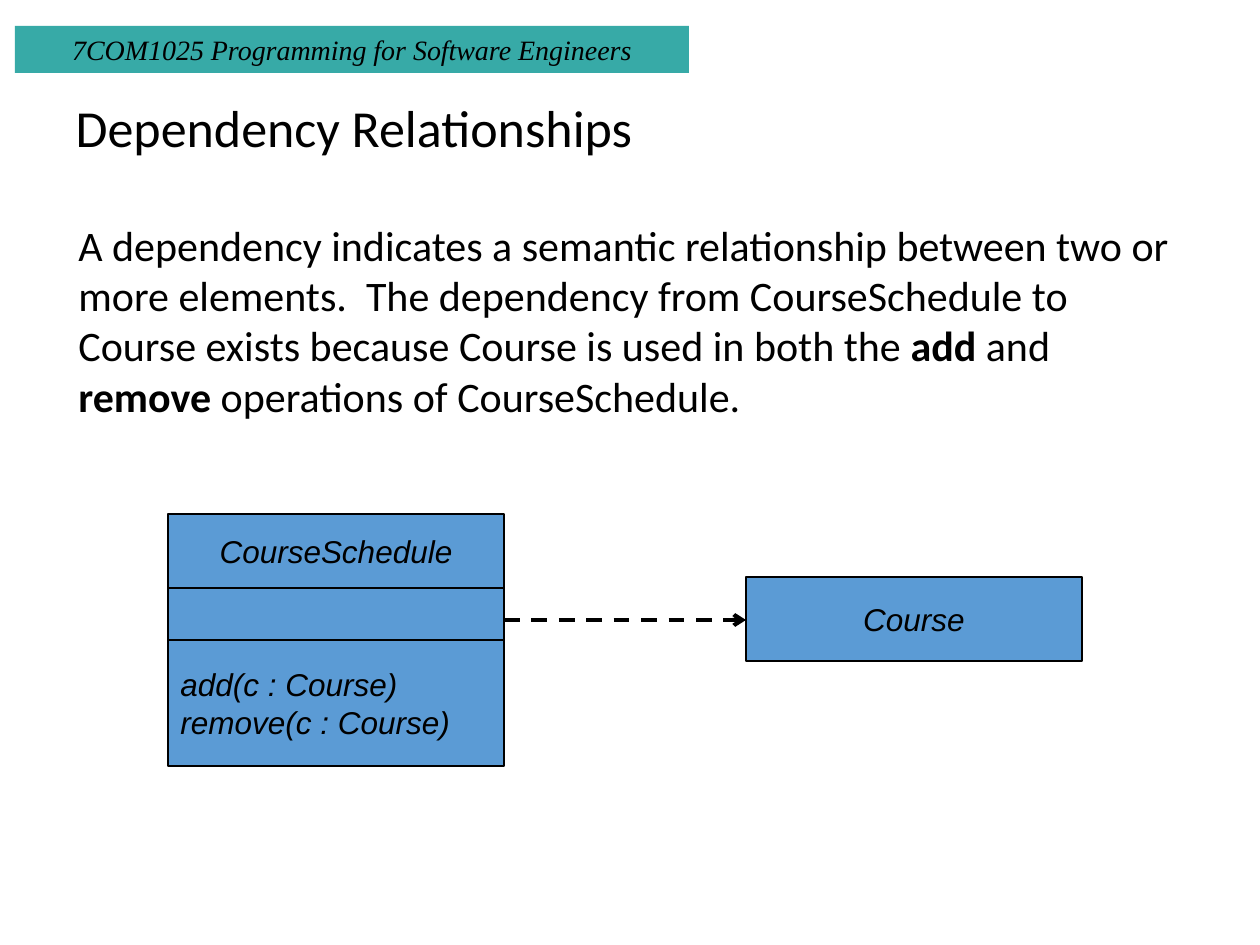
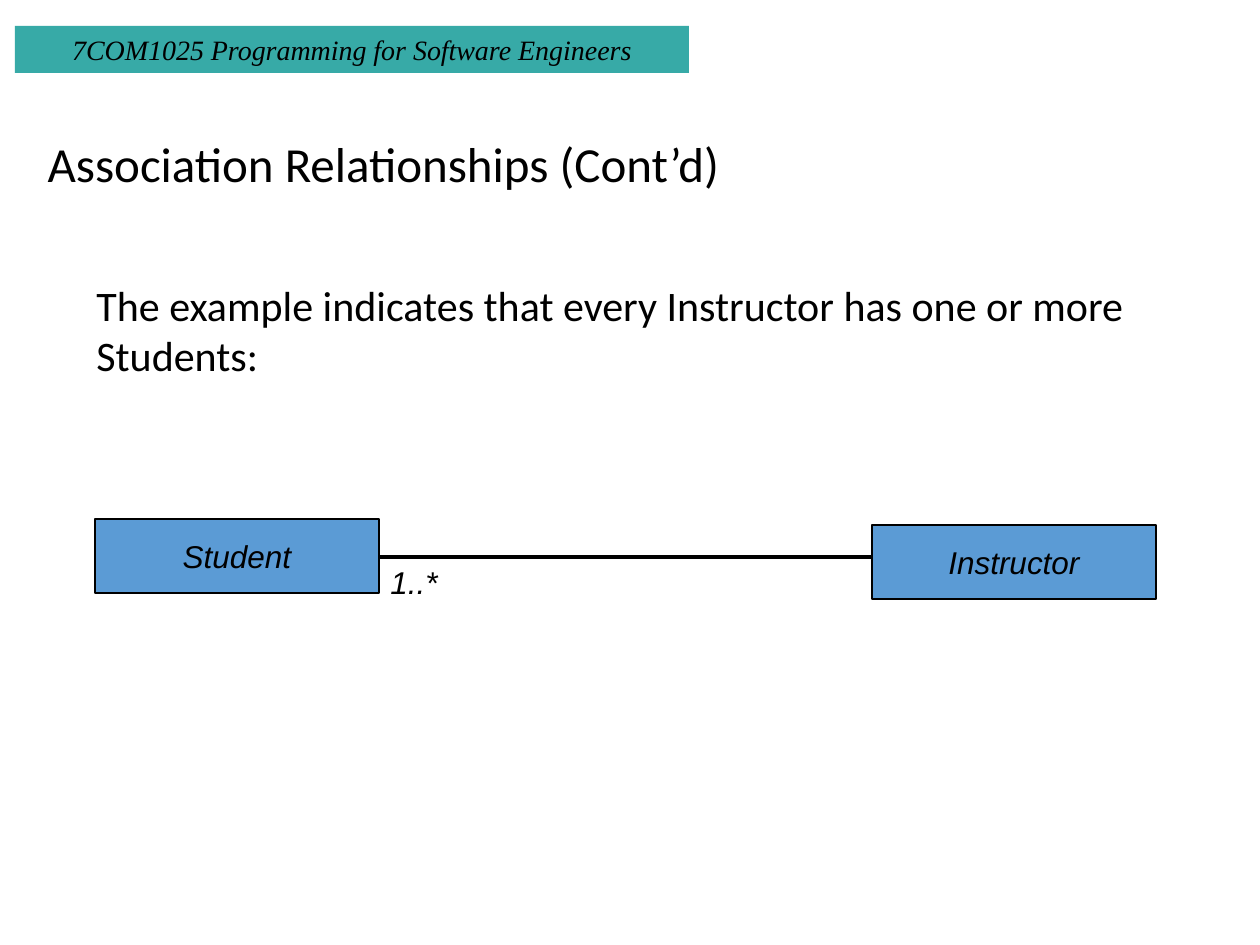
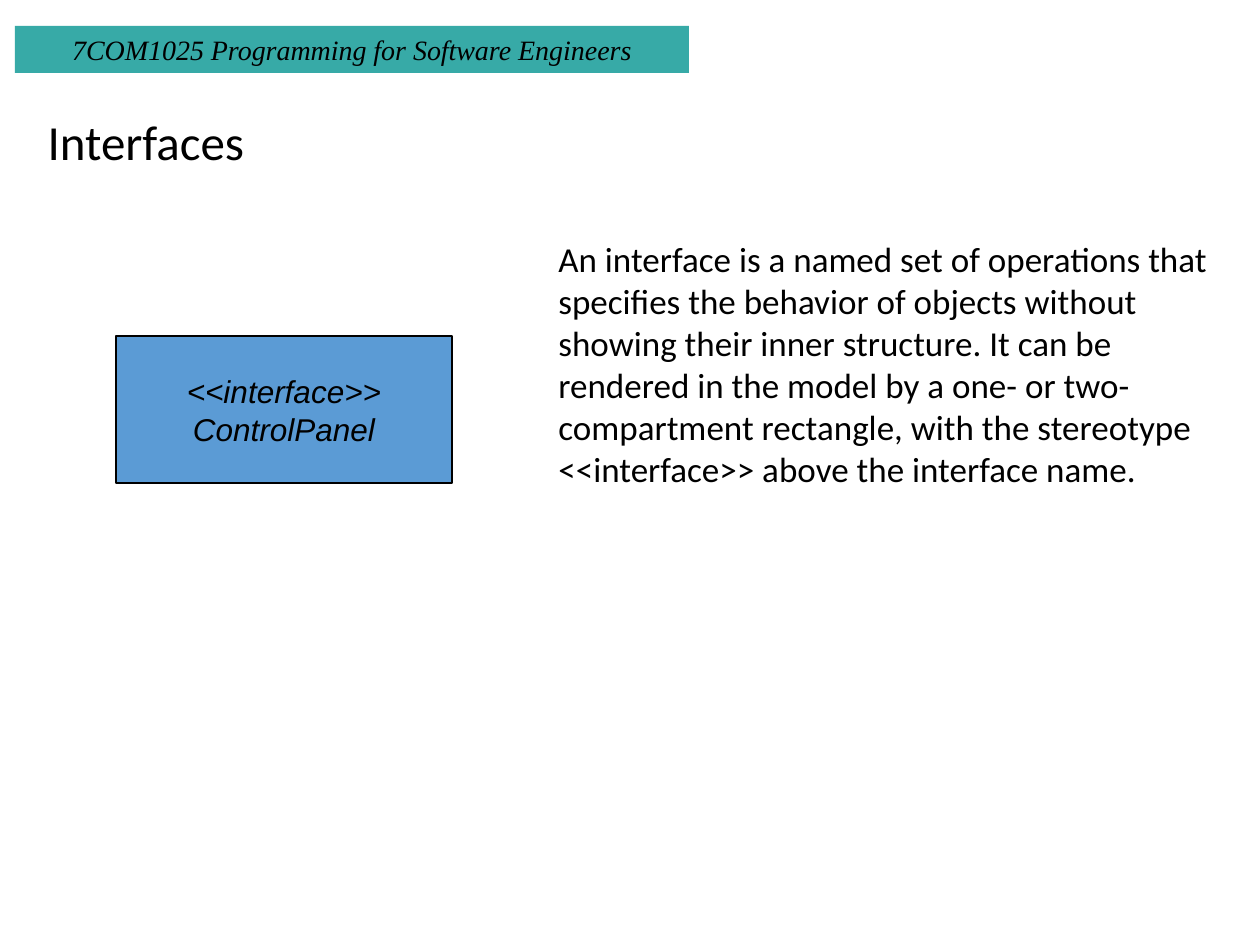
from lxml.etree import SubElement
from pptx import Presentation
from pptx.dml.color import RGBColor
from pptx.enum.dml import MSO_LINE
from pptx.enum.shapes import MSO_CONNECTOR, MSO_SHAPE
from pptx.enum.text import MSO_ANCHOR, MSO_AUTO_SIZE, PP_ALIGN
from pptx.oxml.ns import qn
from pptx.util import Emu, Pt

# Shared style
BLACK = RGBColor(0x00, 0x00, 0x00)
CLASS_BLUE = RGBColor(0x5B, 0x9B, 0xD5)
BANNER_TEAL = RGBColor(0x37, 0xAA, 0xA7)
EMU_PER_PX = 914400 / 126
TITLE_ONLY = 5
BANNER_TEXT = "7COM1025 Programming for Software Engineers"
BANNER_BOX = (15, 26, 674, 47)

# Content: boxes are left, top, width, height in px; **marks** bold words
SLIDES = [
    {
        "title": ("Dependency Relationships", (63, 94, 1081, 73), 29.7),
        "body": (
            ["A dependency indicates a semantic relationship between two or",
             "more elements.  The dependency from CourseSchedule to Course exists "
             "because Course is used in both the **add** and **remove** operations "
             "of CourseSchedule."],
            (66, 213, 1118, 267), 24),
        "relation": {"start": (504, 620), "end": (746, 620), "dependency": True},
        "classes": [
            {"left": 168, "top": 514, "width": 336, "compartments": [
                (["CourseSchedule"], 74, PP_ALIGN.CENTER),
                ([], 52, PP_ALIGN.CENTER),
                (["add(c : Course)", "remove(c : Course)"], 126, PP_ALIGN.LEFT)]},
            {"left": 746, "top": 577, "width": 336, "compartments": [
                (["Course"], 84, PP_ALIGN.CENTER)]},
        ],
    },
    {
        "title": ("Association Relationships (Cont’d)", (35, 130, 1134, 73), 28),
        "body": (
            ["The example indicates that every Instructor has one or more Students:"],
            (84, 273, 1118, 115), 24),
        "relation": {"start": (378, 557), "end": (882, 557)},
        "classes": [
            {"left": 872, "top": 525, "width": 284, "compartments": [
                (["Instructor"], 74, PP_ALIGN.CENTER)]},
            {"left": 95, "top": 519, "width": 284, "compartments": [
                (["Student"], 74, PP_ALIGN.CENTER)]},
        ],
        "multiplicity": ("1..*", (378, 557, 95, 63)),
    },
    {
        "title": ("Interfaces", (35, 108, 1081, 73), 28),
        "body": (
            ["An interface is a named set of operations that specifies the behavior "
             "of objects without showing their inner structure. It can be rendered "
             "in the model by a one- or two-compartment rectangle, with the "
             "stereotype <<interface>> above the interface name."],
            (546, 231, 683, 267), 20),
        "classes": [
            {"left": 116, "top": 336, "width": 336, "compartments": [
                (["<<interface>>", "ControlPanel"], 147, PP_ALIGN.CENTER)]},
        ],
    },
]


def px(*lengths):
    return [Emu(round(length * EMU_PER_PX)) for length in lengths]


def write_text(shape, paragraphs, size, font="Calibri", italic=False,
               align=PP_ALIGN.LEFT, anchor=MSO_ANCHOR.TOP, wrap=True,
               line_spacing=None):
    frame = shape.text_frame
    frame.auto_size = MSO_AUTO_SIZE.NONE
    frame.word_wrap = wrap
    frame.vertical_anchor = anchor
    for index, text in enumerate(paragraphs):
        paragraph = frame.add_paragraph() if index else frame.paragraphs[0]
        paragraph.alignment = align
        paragraph.line_spacing = line_spacing
        for part, words in enumerate(text.split("**")):
            run = paragraph.add_run()
            run.text = words
            run.font.name = font
            run.font.size = Pt(size)
            run.font.bold = part % 2 == 1
            run.font.italic = italic
            run.font.color.rgb = BLACK


def add_text_box(slide, paragraphs, box, size, **text_format):
    write_text(slide.shapes.add_textbox(*px(*box)), paragraphs, size, **text_format)


def add_rectangle(slide, box, fill, outlined=True):
    shape = slide.shapes.add_shape(MSO_SHAPE.RECTANGLE, *px(*box))
    shape.shadow.inherit = False
    shape.fill.solid()
    shape.fill.fore_color.rgb = fill
    if outlined:
        shape.line.color.rgb = BLACK
        shape.line.width = Pt(0.75)
    else:
        shape.line.fill.background()
    return shape


def add_class(slide, left, top, width, compartments):
    for lines, height, align in compartments:
        shape = add_rectangle(slide, (left, top, width, height), CLASS_BLUE)
        write_text(shape, lines, 18, font="Arial", italic=True, align=align,
                   anchor=MSO_ANCHOR.MIDDLE, wrap=False)
        top += height


def add_relation(slide, start, end, dependency=False):
    connector = slide.shapes.add_connector(MSO_CONNECTOR.STRAIGHT, *px(*start, *end))
    connector.line.color.rgb = BLACK
    connector.line.width = Pt(2.25)
    if dependency:
        connector.line.dash_style = MSO_LINE.DASH
        SubElement(connector.line._get_or_add_ln(), qn("a:tailEnd"), type="arrow")
    SubElement(connector._element.spPr, qn("a:effectLst"))


def set_title(slide, text, box, size):
    title = slide.shapes.title
    title.left, title.top, title.width, title.height = px(*box)
    write_text(title, [text], size, anchor=MSO_ANCHOR.MIDDLE, line_spacing=0.9)


def add_banner(slide):
    banner = add_rectangle(slide, BANNER_BOX, BANNER_TEAL, outlined=False)
    write_text(banner, [BANNER_TEXT], 16, font="Times New Roman", italic=True,
               align=PP_ALIGN.CENTER)


def main():
    presentation = Presentation()
    presentation.slide_width, presentation.slide_height = px(1260, 945)
    for content in SLIDES:
        slide = presentation.slides.add_slide(presentation.slide_layouts[TITLE_ONLY])
        set_title(slide, *content["title"])
        add_text_box(slide, *content["body"])
        # The relation goes behind the classes it joins
        if "relation" in content:
            add_relation(slide, **content["relation"])
        for class_box in content["classes"]:
            add_class(slide, **class_box)
        if "multiplicity" in content:
            label, box = content["multiplicity"]
            add_text_box(slide, [label], box, 18, font="Arial", italic=True)
        add_banner(slide)
    presentation.save("out.pptx")


if __name__ == "__main__":
    main()
